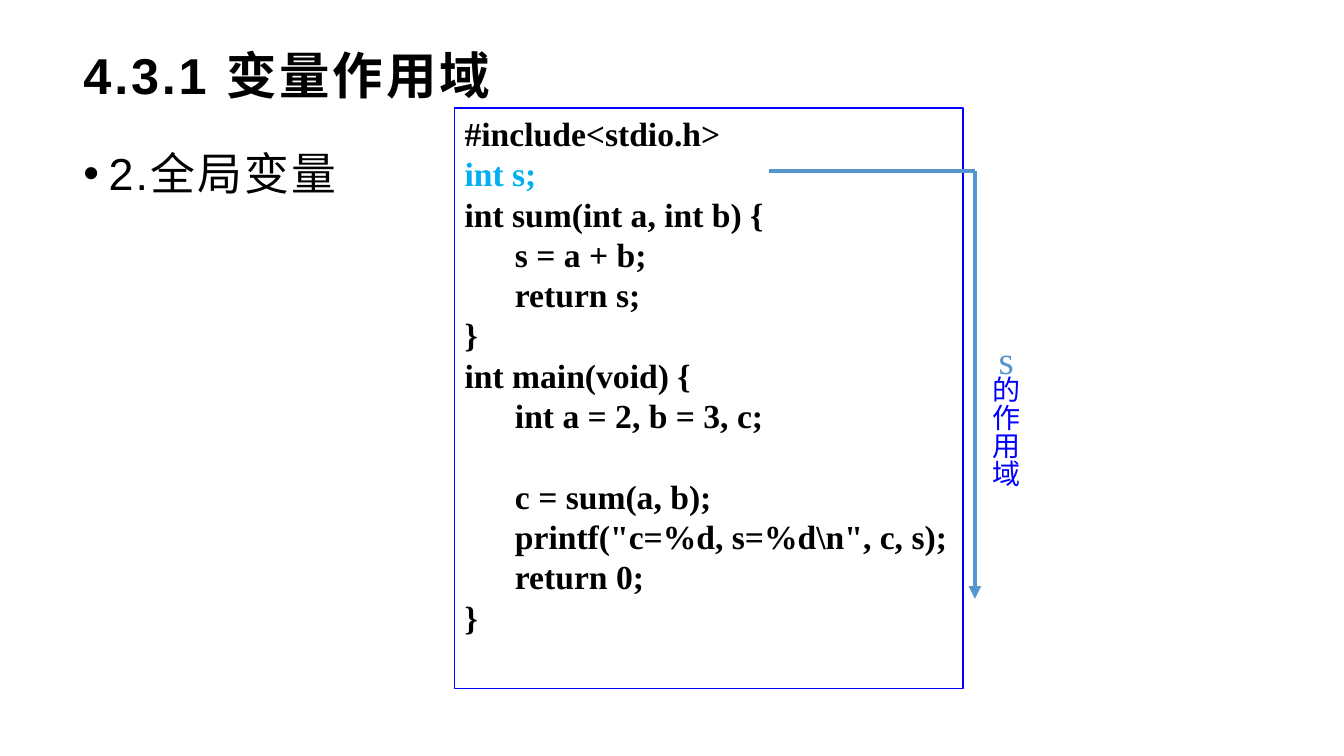
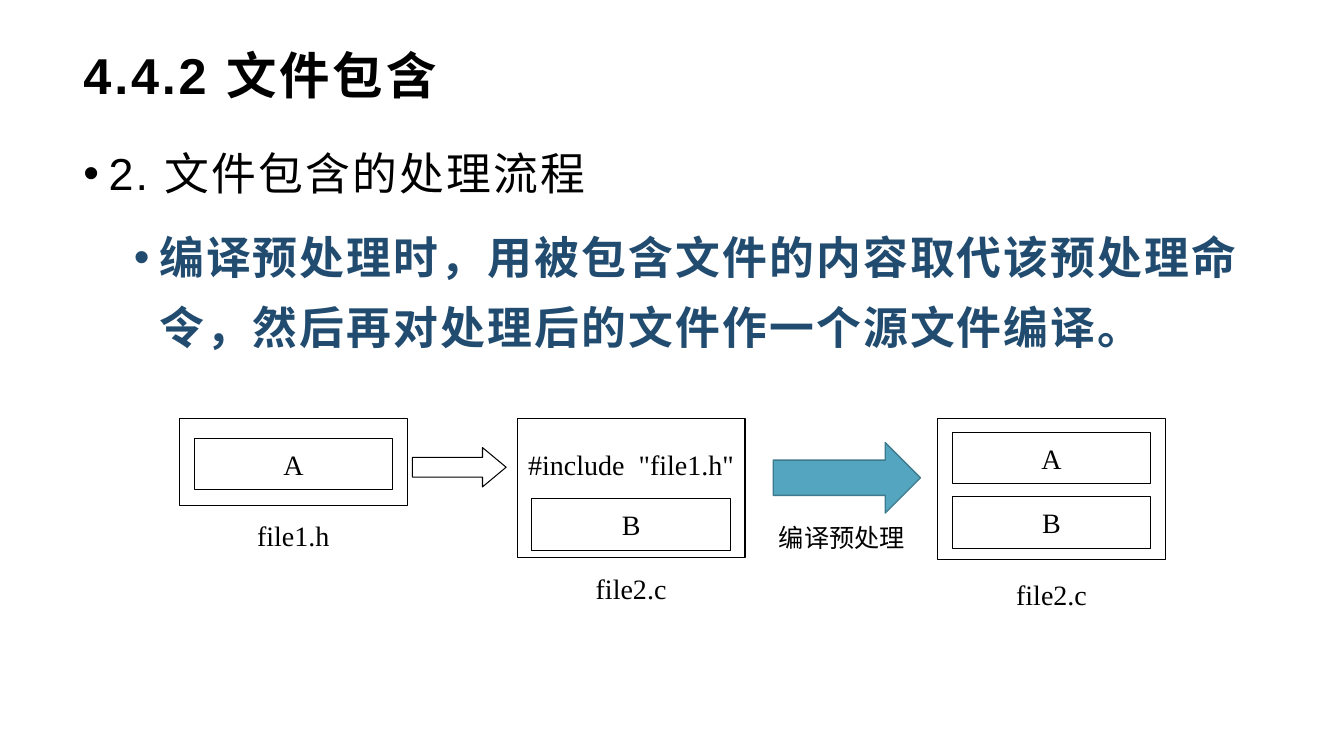
from lxml.etree import SubElement
from pptx import Presentation
from pptx.dml.color import RGBColor
from pptx.enum.shapes import MSO_CONNECTOR as Connector, MSO_SHAPE as Kind
from pptx.enum.text import MSO_ANCHOR as Anchor, PP_ALIGN as Align
from pptx.oxml.ns import qn
from pptx.util import Inches, Pt


class Theme:
    black, white = "000000", "FFFFFF"
    code_border, scope_label = "0000FF", "0000FF"
    global_name, scope_arrow = "00B0F0", "5596CD"
    emphasis = "214C70"
    step_fill, step_border = "54A5BF", "3E7A8D"
    sans, serif, chinese = "Arial", "Times New Roman", "Noto Sans CJK SC"
    title, body, symbol, code, label, note = 36, 32, 28, 24, 20, 18
    title_spacing, body_spacing = 2, 1.5


# The grid has 75 rows; its columns are as wide as the rows are high.
ROWS = 75
CELL = Inches(7.5) // ROWS


def style_paragraph(paragraph, size, color=Theme.black, name=Theme.serif,
                    bold=False, spacing=0):
    for run in paragraph.runs:
        run.font.size, run.font.bold, run.font.name = Pt(size), bold, name
        run.font.color.rgb = RGBColor.from_string(color)
        properties = run.font._element if hasattr(run.font, "_element") else run._r.get_or_add_rPr()
        properties.set("spc", str(int(spacing * 100)))
        SubElement(properties, qn("a:ea")).set("typeface", Theme.chinese)


def add_box(slide, area, text="", size=Theme.label, kind=Kind.RECTANGLE, fill=None,
            line=None, weight=0.75, align=Align.CENTER, anchor=Anchor.MIDDLE,
            margins=(0, 0), **style):
    """Add a shape at (left, top, width, height) in grid cells, with its text."""
    shape = slide.shapes.add_shape(kind, *(round(length * CELL) for length in area))
    shape.shadow.inherit = False
    for part, color in ((shape.fill, fill), (shape.line.fill, line)):
        if color:
            part.solid()
            part.fore_color.rgb = RGBColor.from_string(color)
        else:
            part.background()
    if line:
        shape.line.width = Pt(weight)
    frame = shape.text_frame
    frame.text = text
    frame.word_wrap = True
    frame.vertical_anchor = anchor
    frame.margin_left = frame.margin_right = round(margins[0] * CELL)
    frame.margin_top = frame.margin_bottom = round(margins[1] * CELL)
    for paragraph in frame.paragraphs:
        paragraph.alignment = align
        style_paragraph(paragraph, size, **style)
    return shape


presentation = Presentation()
presentation.slide_width, presentation.slide_height = Inches(13.33), ROWS * CELL
padding = (1, 0.5)

# Titles and bullets: (text, left indent in cells, colour, font, bold)
outlines = [
    ("4.3.1 变量作用域", [("2.全局变量", 2.5, Theme.black, Theme.sans, False)]),
    ("4.4.2 文件包含", [
        ("2. 文件包含的处理流程", 2.5, Theme.black, Theme.sans, False),
        ("编译预处理时，用被包含文件的内容取代该预处理命令，然后再对处理后的文件作一个源文件编译。",
         7.5, Theme.emphasis, Theme.chinese, True),
    ]),
]
slides = []
for title, bullets in outlines:
    slide = presentation.slides.add_slide(presentation.slide_layouts[6])
    slides.append(slide)
    add_box(slide, (7.3, 4.4, 118.7, 6), title, Theme.title, align=Align.LEFT,
            margins=padding, name=Theme.sans, bold=True, spacing=Theme.title_spacing)
    body = add_box(slide, (7.3, 12.4, 118.7, 24.4), anchor=Anchor.TOP, margins=padding)
    frame = body.text_frame
    for index, (text, indent, color, name, bold) in enumerate(bullets):
        paragraph = frame.add_paragraph() if index else frame.paragraphs[0]
        paragraph.text = text
        paragraph.alignment = Align.LEFT
        paragraph.line_spacing = 1.3
        paragraph.space_after = Pt(10)
        properties = paragraph._p.get_or_add_pPr()
        properties.set("marL", str(round(indent * CELL)))
        properties.set("indent", str(round(-2.5 * CELL)))
        SubElement(properties, qn("a:buFont")).set("typeface", Theme.sans)
        SubElement(properties, qn("a:buChar")).set("char", "•")
        style_paragraph(paragraph, Theme.body, color, name, bold, Theme.body_spacing)

scope_slide, include_slide = slides

# Scope of a global variable
code = r"""#include<stdio.h>
int s;
int sum(int a, int b) {
      s = a + b;
      return s;
}
int main(void) {
      int a = 2, b = 3, c;

      c = sum(a, b);
      printf("c=%d, s=%d\n", c, s);
      return 0;
}"""
listing = add_box(scope_slide, (45.1, 10.7, 50.4, 57.6), code, Theme.code,
                  fill=Theme.white, line=Theme.code_border, weight=1, align=Align.LEFT,
                  anchor=Anchor.TOP, margins=padding, bold=True)
for paragraph in listing.text_frame.paragraphs:
    paragraph.line_spacing = Pt(1.2 * Theme.code)
declaration = listing.text_frame.paragraphs[1].runs[0]
declaration.font.color.rgb = RGBColor.from_string(Theme.global_name)

scope_path = [(76.3, 17), (96.7, 17), (96.7, 59.4)]
for start, end in zip(scope_path, scope_path[1:]):
    connector = scope_slide.shapes.add_connector(
        Connector.STRAIGHT, *(round(length * CELL) for length in start + end))
    connector.line.color.rgb = RGBColor.from_string(Theme.scope_arrow)
    connector.line.width = Pt(3)
    properties = connector.element.spPr
    if end == scope_path[-1]:
        SubElement(properties.find(qn("a:ln")), qn("a:tailEnd")).set("type", "triangle")
    SubElement(properties, qn("a:effectLst"))

scope_label = add_box(scope_slide, (95.8, 37.3, 7.9, 12.2), "的作用域", color=Theme.scope_label)
scope_label.element.txBody.find(qn("a:bodyPr")).set("vert", "eaVert")
add_box(scope_slide, (97.2, 32.8, 5.2, 5.7), "s", Theme.symbol, color=Theme.scope_arrow)

# Files before and after preprocessing:
# (left, height, caption, caption top, [(block, top)])
file_top, file_width, block_inset, block_height = 41.5, 22.6, 1.45, 5.1
files = [
    (17.8, 8.7, "file1.h", 50.9, [("A", 43.5)]),
    (51.3, 13.8, "file2.c", 56.2, [("B", 49.5)]),
    (93, 14, "file2.c", 56.8, [("A", 42.9), ("B", 49.3)]),
]
for left, height, caption, caption_top, blocks in files:
    add_box(include_slide, (left, file_top, file_width, height), line=Theme.black)
    add_box(include_slide, (left, caption_top, file_width, 4.4), caption)
    for block, top in blocks:
        add_box(include_slide,
                (left + block_inset, top, file_width - 2 * block_inset, block_height),
                block, line=Theme.black)
add_box(include_slide, (files[1][0], 43.9, file_width, 4.4), '#include  "file1.h"')

include_arrow = add_box(include_slide, (40.9, 44.4, 9.3, 3.9), kind=Kind.RIGHT_ARROW,
                        line=Theme.black)
include_arrow.adjustments[1] = 0.6
add_box(include_slide, (76.7, 43.9, 14.6, 7), kind=Kind.RIGHT_ARROW,
        fill=Theme.step_fill, line=Theme.step_border, weight=1)
add_box(include_slide, (76.2, 51.3, 14.6, 4), "编译预处理", Theme.note, name=Theme.sans)

presentation.save("out.pptx")
